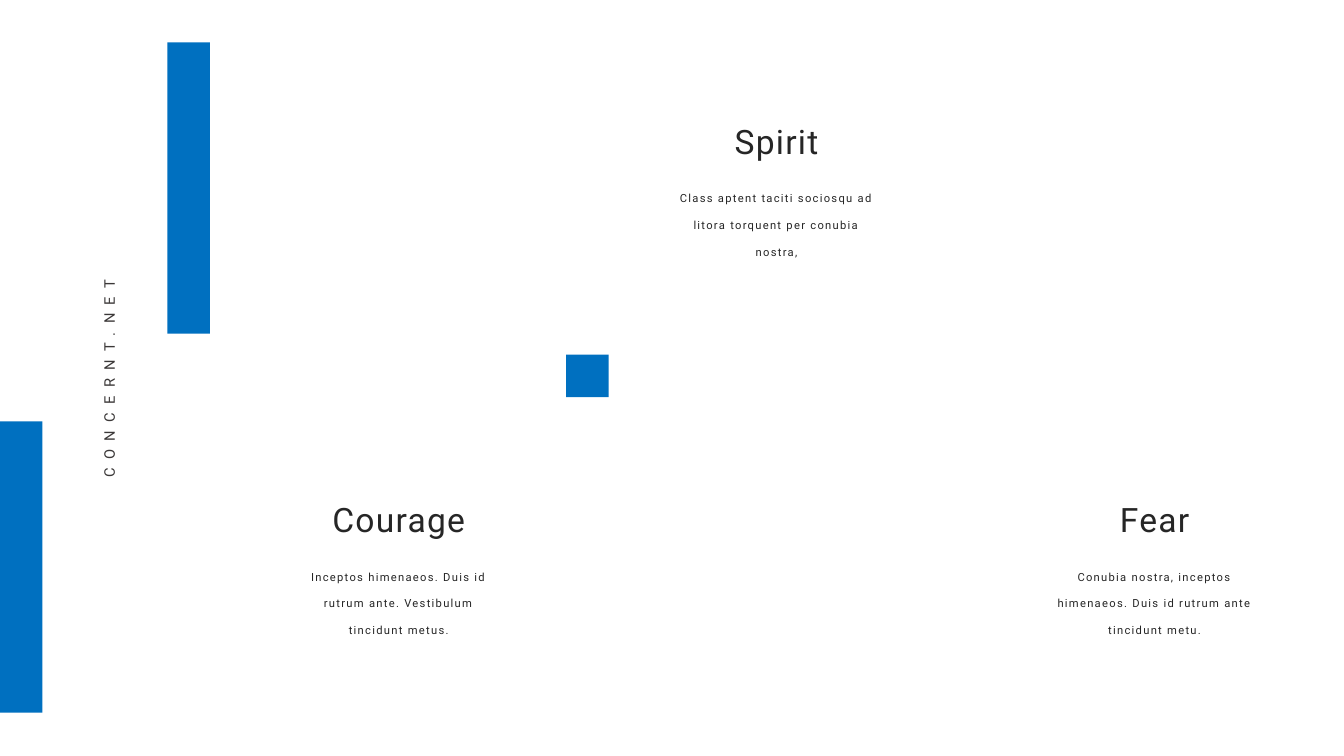
from dataclasses import dataclass

from pptx import Presentation
from pptx import util as u
from pptx.dml.color import RGBColor
from pptx.enum import shapes, text

BLUE = RGBColor(0x00, 0x70, 0xC0)
INK = RGBColor(0x26, 0x26, 0x26)
GREY = RGBColor(0x3B, 0x38, 0x38)
FONT = "Roboto"
BAR_WIDTH = 1.07
BAR_HEIGHT = 7.34
BODY_WIDTH = 5.56
BODY_OFFSET = 1.45


@dataclass(frozen=True)
class Bar:
    left: float
    top: float
    height: float


@dataclass(frozen=True)
class Label:
    wording: str
    center: float
    top: float
    width: float
    height: float
    size: float
    color: RGBColor = INK
    tracking: float = 0.9
    line_spacing: float = 1.0
    wrap: bool = True
    rotation: float = 0


@dataclass(frozen=True)
class Virtue:
    heading: str
    description: str
    center: float
    top: float
    heading_width: float


BARS = [
    Bar(4.22, 1.07, BAR_HEIGHT),
    Bar(14.27, 8.94, BAR_WIDTH),
    Bar(0, 10.62, BAR_HEIGHT),
]

VIRTUES = [
    Virtue("Courage",
           "Inceptos himenaeos. Duis id rutrum ante. Vestibulum tincidunt metus.",
           10.05, 12.45, 4.29),
    Virtue("Spirit",
           "Class aptent taciti sociosqu ad litora torquent per conubia nostra,",
           19.57, 2.92, 3.0),
    Virtue("Fear",
           "Conubia nostra, inceptos himenaeos. Duis id rutrum ante tincidunt metu.",
           29.1, 12.45, 2.54),
]

SITE = Label("CONCERNT.NET", 2.77, 9.17, 5.89, 0.74, 10.5,
             color=GREY, tracking=6, rotation=270)


def add_bar(slide, bar: Bar) -> None:
    shape = slide.shapes.add_shape(
        shapes.MSO_SHAPE.RECTANGLE,
        u.Cm(bar.left), u.Cm(bar.top), u.Cm(BAR_WIDTH), u.Cm(bar.height))
    shape.shadow.inherit = False
    shape.fill.solid()
    shape.fill.fore_color.rgb = BLUE
    shape.line.fill.background()


def add_label(slide, label: Label) -> None:
    box = slide.shapes.add_textbox(
        u.Cm(label.center - label.width / 2), u.Cm(label.top),
        u.Cm(label.width), u.Cm(label.height))
    box.rotation = label.rotation
    frame = box.text_frame
    frame.text = label.wording
    frame.word_wrap = label.wrap
    frame.auto_size = text.MSO_AUTO_SIZE.SHAPE_TO_FIT_TEXT
    paragraph = frame.paragraphs[0]
    paragraph.alignment = text.PP_ALIGN.CENTER
    paragraph.line_spacing = label.line_spacing
    for run in paragraph.runs:
        run.font.name = FONT
        run.font.size = u.Pt(label.size)
        run.font.color.rgb = label.color
        run.font._element.set("spc", str(round(label.tracking * 100)))


def add_virtue(slide, virtue: Virtue) -> None:
    add_label(slide, Label(
        virtue.description, virtue.center, virtue.top + BODY_OFFSET,
        BODY_WIDTH, 2.24, 8, line_spacing=2.0))
    add_label(slide, Label(
        virtue.heading, virtue.center, virtue.top,
        virtue.heading_width, 1.27, 24, wrap=False))


def main() -> None:
    presentation = Presentation()
    presentation.slide_width = u.Cm(33.87)
    presentation.slide_height = u.Cm(19.05)
    slide = presentation.slides.add_slide(presentation.slide_layouts[6])
    for bar in BARS:
        add_bar(slide, bar)
    for virtue in VIRTUES:
        add_virtue(slide, virtue)
    add_label(slide, SITE)
    presentation.save("out.pptx")


if __name__ == "__main__":
    main()
